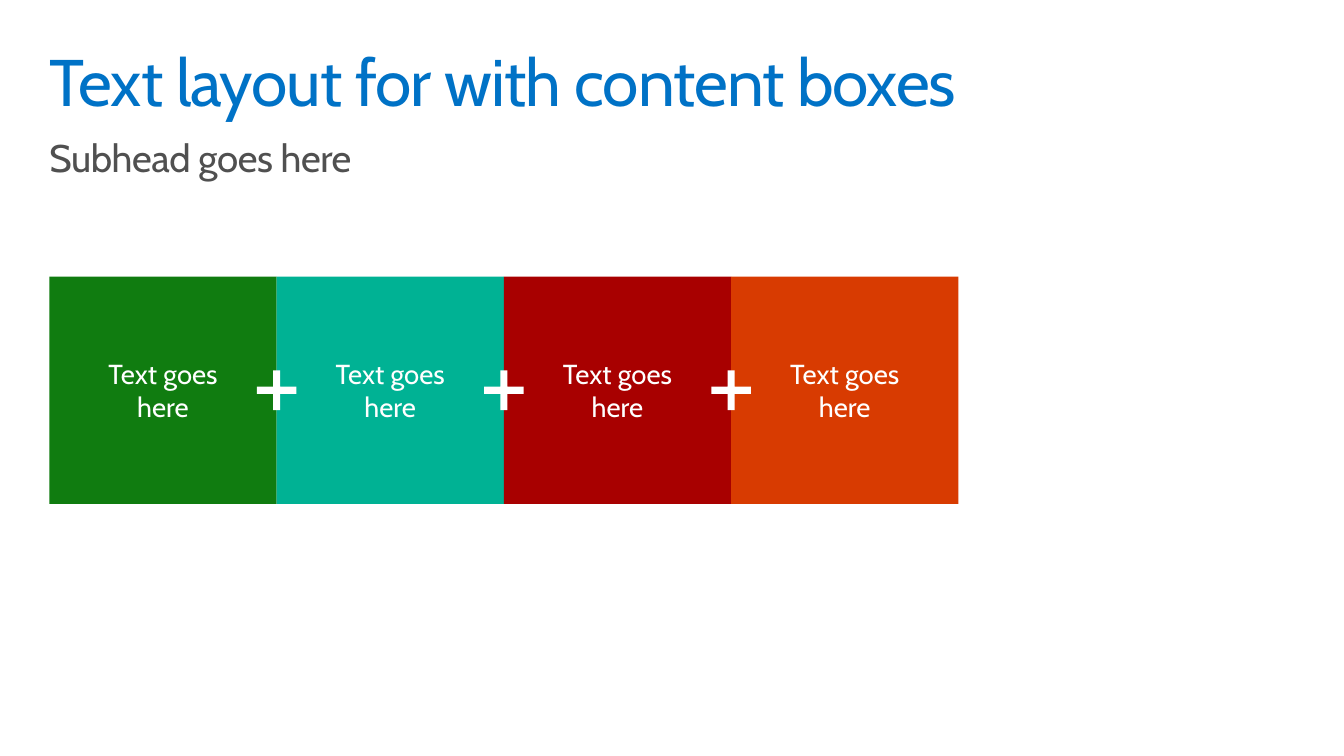
from pptx import Presentation
from pptx.dml.color import RGBColor
from pptx.enum.shapes import MSO_SHAPE
from pptx.enum.text import MSO_ANCHOR, MSO_AUTO_SIZE, PP_ALIGN
from pptx.util import Cm, Pt

RECT, CROSS = MSO_SHAPE.RECTANGLE, MSO_SHAPE.CROSS
TOP, MIDDLE = MSO_ANCHOR.TOP, MSO_ANCHOR.MIDDLE
LEFT, CENTER = PP_ALIGN.LEFT, PP_ALIGN.CENTER
NO_FIT = MSO_AUTO_SIZE.NONE

BLUE = RGBColor(0x00, 0x72, 0xC6)
GRAY = RGBColor(0x50, 0x50, 0x50)
WHITE = RGBColor(0xFF, 0xFF, 0xFF)
GREEN = RGBColor(0x10, 0x7C, 0x10)
TEAL = RGBColor(0x00, 0xB2, 0x94)
RED = RGBColor(0xA8, 0x00, 0x00)
ORANGE = RGBColor(0xD8, 0x3B, 0x01)

FONT = "Cabin"
TITLE = "Text layout for with content boxes"
SUBHEAD = "Subhead goes here"
BOXES = [
    ("Text goes\nhere", GREEN),
    ("Text goes\nhere", TEAL),
    ("Text goes\nhere", RED),
    ("Text goes\nhere", ORANGE),
]

HEAD_X, HEAD_Y = 1.02, 1.02
HEAD_W, HEAD_H = 32.5, 2.3
BOX_X, BOX_Y, SIDE = 1.27, 7.11, 5.84
PLUS, NOTCH = 1.02, 0.41


def write(shape, text, size, color, align=LEFT, anchor=TOP,
          pad=0.25, before=0, lines=1.0, track=0):
    frame = shape.text_frame
    frame.word_wrap = True
    frame.auto_size = NO_FIT
    frame.vertical_anchor = anchor
    frame.margin_left = frame.margin_right = Cm(pad)
    frame.margin_top = frame.margin_bottom = Cm(0.25)
    para = frame.paragraphs[0]
    para.text = text
    para.alignment = align
    para.space_before = Pt(before)
    para.line_spacing = lines
    for run in para.runs:
        run.font.name = FONT
        run.font.size = Pt(size)
        run.font.color.rgb = color
        if track:
            run.font._element.set("spc", str(track))


def draw(slide, kind, x, y, side, fill):
    shape = slide.shapes.add_shape(kind, Cm(x), Cm(y), Cm(side), Cm(side))
    shape.shadow.inherit = False
    shape.fill.solid()
    shape.fill.fore_color.rgb = fill
    shape.line.fill.background()
    return shape


def main():
    deck = Presentation()
    deck.slide_width, deck.slide_height = Cm(34.54), Cm(19.43)
    slide = deck.slides.add_slide(deck.slide_layouts[5])

    title = slide.shapes.title
    title.left, title.top = Cm(HEAD_X), Cm(HEAD_Y)
    title.width, title.height = Cm(HEAD_W), Cm(HEAD_H)
    write(title, TITLE, 48, BLUE, lines=0.9, track=-70)

    sub = slide.shapes.add_textbox(
        Cm(HEAD_X), Cm(HEAD_Y + HEAD_H), Cm(HEAD_W), Cm(HEAD_H))
    write(sub, SUBHEAD, 28, GRAY, before=6, lines=0.9, track=-30)

    for i, (text, fill) in enumerate(BOXES):
        box = draw(slide, RECT, BOX_X + i * SIDE, BOX_Y, SIDE, fill)
        write(box, text, 20, WHITE, CENTER, MIDDLE, pad=1.02, before=6)

    for i in range(1, len(BOXES)):
        x = BOX_X + i * SIDE - PLUS / 2
        y = BOX_Y + (SIDE - PLUS) / 2
        plus = draw(slide, CROSS, x, y, PLUS, WHITE)
        plus.adjustments[0] = NOTCH

    deck.save("out.pptx")


if __name__ == "__main__":
    main()
